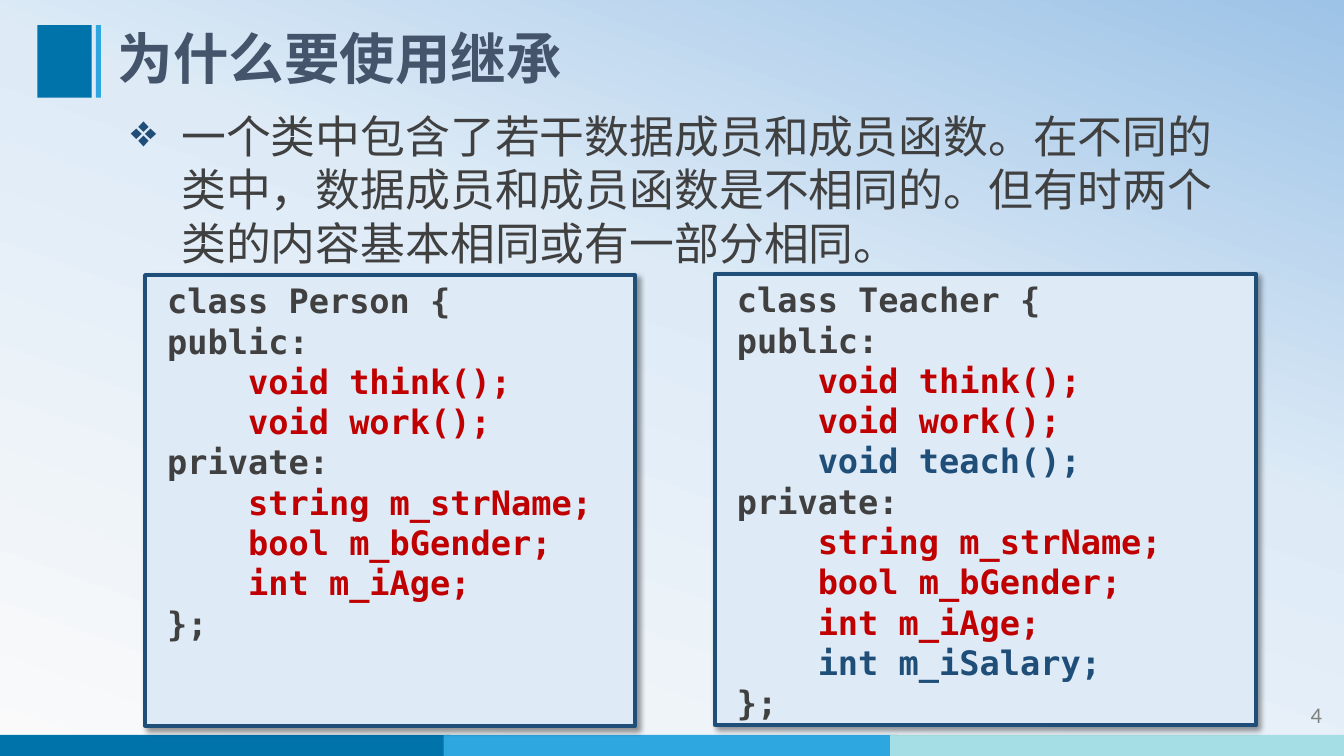
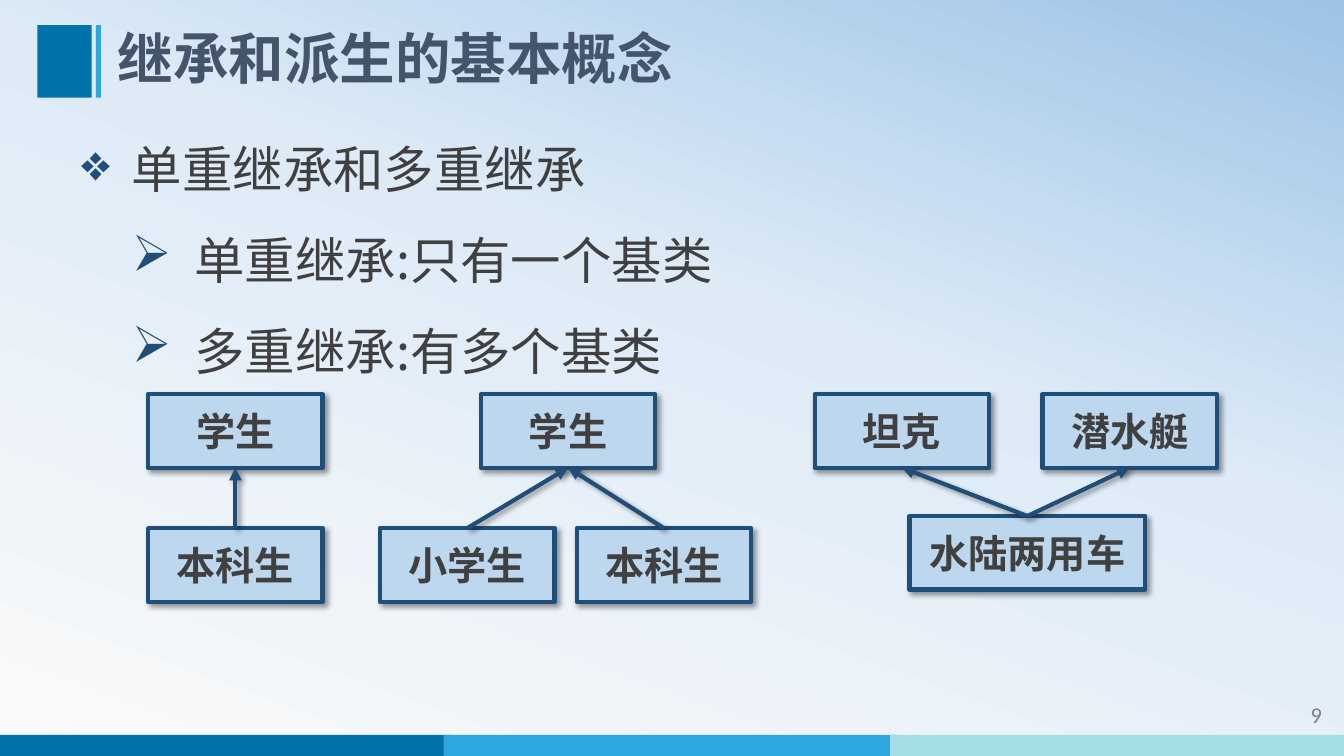
"""Two lecture slides on class inheritance: code boxes and class trees."""
from itertools import product
from copy import deepcopy

from lxml import etree
from pptx import Presentation
from pptx.dml.color import RGBColor
from pptx.enum.shapes import MSO_CONNECTOR, MSO_SHAPE
from pptx.enum.text import MSO_ANCHOR, MSO_AUTO_SIZE, PP_ALIGN
from pptx.oxml.ns import qn
from pptx.util import Inches, Pt

RECT = MSO_SHAPE.RECTANGLE
LINE = MSO_CONNECTOR.STRAIGHT
TOP, MIDDLE = MSO_ANCHOR.TOP, MSO_ANCHOR.MIDDLE
LEFT, CENTER, RIGHT = PP_ALIGN.LEFT, PP_ALIGN.CENTER, PP_ALIGN.RIGHT
GROW, FIXED = MSO_AUTO_SIZE.SHAPE_TO_FIT_TEXT, MSO_AUTO_SIZE.NONE

HANS, MONO, SANS = "Noto Sans CJK SC", "DejaVu Sans Mono", "Calibri"
COLORS = {
    name: RGBColor.from_string(code)
    for name, code in {
        "blue": "0073AB", "sky": "2EA7E0", "aqua": "A5DEE4", "navy": "1F4E79",
        "slate": "44546A", "text": "404040", "gray": "808080", "red": "C00000",
        "pale": "DEEBF7", "ice": "BDD7EE", "white": "FAFAFA", "glow": "9DC3E6",
    }.items()
}


def write(para, text, size, color, font=HANS, bold=False):
    """Add one run with its own font."""
    run = para.add_run()
    run.text = text
    run.font.size = Pt(size)
    run.font.bold = bold
    run.font.color.rgb = COLORS[color]
    run.font.name = font
    etree.SubElement(run.font._element, qn("a:ea"), typeface=font)


def outline(shape):
    """Give a box or arrow its navy line and soft shadow."""
    shape.line.color.rgb = COLORS["navy"]
    shape.line.width = Pt(3)
    effects = etree.SubElement(shape._element.spPr, qn("a:effectLst"))
    shade = etree.SubElement(effects, qn("a:outerShdw"), blurRad=str(Pt(4)),
                             dist=str(Pt(3)), dir="2700000", algn="tl", rotWithShape="0")
    black = etree.SubElement(shade, qn("a:srgbClr"), val="000000")
    etree.SubElement(black, qn("a:alpha"), val="40000")


prs = Presentation()
prs.slide_width, prs.slide_height = Inches(13.33), Inches(7.5)

BANDS = [
    (-0.03, 7.29, 4.5, 0.21, "blue"),
    (4.4, 7.29, 4.5, 0.21, "sky"),
    (8.83, 7.29, 4.5, 0.21, "aqua"),
    (0.37, 0.25, 0.54, 0.72, "blue"),
    (0.95, 0.25, 0.05, 0.72, "sky"),
]
STOPS = [(0, "white"), (0.58, "pale"), (1, "glow")]

PAGES = [
    ("为什么要使用继承", "4", (1.2, 1.03, 11.01, 1.72), 32, 38.2, [
        (0, "❖", 0.5, 0.5, "一个类中包含了若干数据成员和成员函数。在不同的类中，"
         "数据成员和成员函数是不相同的。但有时两个类的内容基本相同或有一部分相同。"),
    ]),
    ("继承和派生的基本概念", "9", (0.71, 1.02, 11.22, 2.72), 36, 65, [
        (0, "❖", 0.5, 0.5, "单重继承和多重继承"),
        (1, "➢", 1.12, 0.62, "单重继承:只有一个基类"),
        (1, "➢", 1.12, 0.62, "多重继承:有多个基类"),
    ]),
]

for title, number, place, size, pitch, points in PAGES:
    slide = prs.slides.add_slide(prs.slide_layouts[5])
    fill = slide.background.fill
    fill.gradient()
    fill.gradient_angle = 70
    stops = slide.element.find(".//" + qn("a:gsLst"))
    stops.append(deepcopy(stops[0]))
    for stop, (pos, color) in zip(fill.gradient_stops, STOPS):
        stop.position = pos
        stop.color.rgb = COLORS[color]

    for x, y, w, h, color in BANDS:
        band = slide.shapes.add_shape(RECT, Inches(x), Inches(y), Inches(w), Inches(h))
        band.shadow.inherit = False
        band.fill.solid()
        band.fill.fore_color.rgb = COLORS[color]
        band.line.fill.background()

    page = slide.shapes.add_textbox(Inches(11.62), Inches(6.91), Inches(1.59), Inches(0.4))
    page.text_frame.word_wrap = True
    para = page.text_frame.paragraphs[0]
    para.alignment = RIGHT
    write(para, number, 16, "gray", SANS)

    head = slide.shapes.title
    head.left, head.top = Inches(1.07), Inches(0.25)
    head.width, head.height = Inches(10.86), Inches(0.72)
    head.text_frame.auto_size = FIXED
    head.text_frame.vertical_anchor = MIDDLE
    para = head.text_frame.paragraphs[0]
    para.alignment = LEFT
    para.line_spacing = 0.9
    write(para, title, 39.6, "slate", bold=True)

    body = slide.shapes.add_textbox(*[Inches(v) for v in place])
    frame = body.text_frame
    frame.word_wrap = True
    frame.auto_size = GROW
    for i, (level, mark, left, hang, text) in enumerate(points):
        para = frame.add_paragraph() if i else frame.paragraphs[0]
        para.level = level
        para.line_spacing = Pt(pitch)
        props = para._p.get_or_add_pPr()
        props.set("marL", str(Inches(left)))
        props.set("indent", str(-Inches(hang)))
        tint = etree.SubElement(props, qn("a:buClr"))
        etree.SubElement(tint, qn("a:srgbClr"), val=str(COLORS["navy"]))
        etree.SubElement(props, qn("a:buChar"), char=mark)
        write(para, text, size, "text")

why, trees = prs.slides

PERSON = """class Person {
public:
    void think();
    void work();
private:
    string m_strName;
    bool m_bGender;
    int m_iAge;
};"""
TEACHER = """class Teacher {
public:
    void think();
    void work();
    void teach();
private:
    string m_strName;
    bool m_bGender;
    int m_iAge;
    int m_iSalary;
};"""
shared = PERSON.splitlines()

for code, x, y, w in [(PERSON, 1.44, 2.73, 4.86), (TEACHER, 7.09, 2.72, 5.37)]:
    box = why.shapes.add_shape(RECT, Inches(x), Inches(y), Inches(w), Inches(4.47))
    box.fill.solid()
    box.fill.fore_color.rgb = COLORS["pale"]
    outline(box)
    frame = box.text_frame
    frame.word_wrap = True
    frame.vertical_anchor = TOP
    for i, line in enumerate(code.splitlines()):
        para = frame.add_paragraph() if i else frame.paragraphs[0]
        para.alignment = LEFT
        props = para._p.get_or_add_pPr()
        props.set("marL", str(Inches(0.4)))
        props.set("indent", str(-Inches(0.28)))
        member = "red" if line in shared else "navy"
        write(para, line, 24, member if line.startswith(" ") else "text", MONO, True)

TREES = [
    ([("学生", 1.47)], [("本科生", 1.47)], 5.24, 1.73),
    ([("学生", 4.77)], [("小学生", 3.77), ("本科生", 5.72)], 5.24, 1.73),
    ([("坦克", 8.08), ("潜水艇", 10.34)], [("水陆两用车", 9.02)], 5.12, 2.34),
]
for bases, heirs, low, wide in TREES:
    rows = []
    for names, y, w in [(bases, 3.91, 1.73), (heirs, low, wide)]:
        row = []
        for name, x in names:
            box = trees.shapes.add_shape(RECT, Inches(x), Inches(y), Inches(w), Inches(0.73))
            box.fill.solid()
            box.fill.fore_color.rgb = COLORS["ice"]
            outline(box)
            box.text_frame.word_wrap = True
            box.text_frame.vertical_anchor = MIDDLE
            para = box.text_frame.paragraphs[0]
            para.alignment = CENTER
            write(para, name, 28, "text", bold=True)
            row.append(box)
        rows.append(row)
    for base, heir in product(*rows):
        arrow = trees.shapes.add_connector(LINE, 0, 0, 0, 0)
        arrow.begin_connect(heir, 0)
        arrow.end_connect(base, 2)
        outline(arrow)
        etree.SubElement(arrow.line._get_or_add_ln(), qn("a:tailEnd"), type="triangle")

prs.save("out.pptx")
